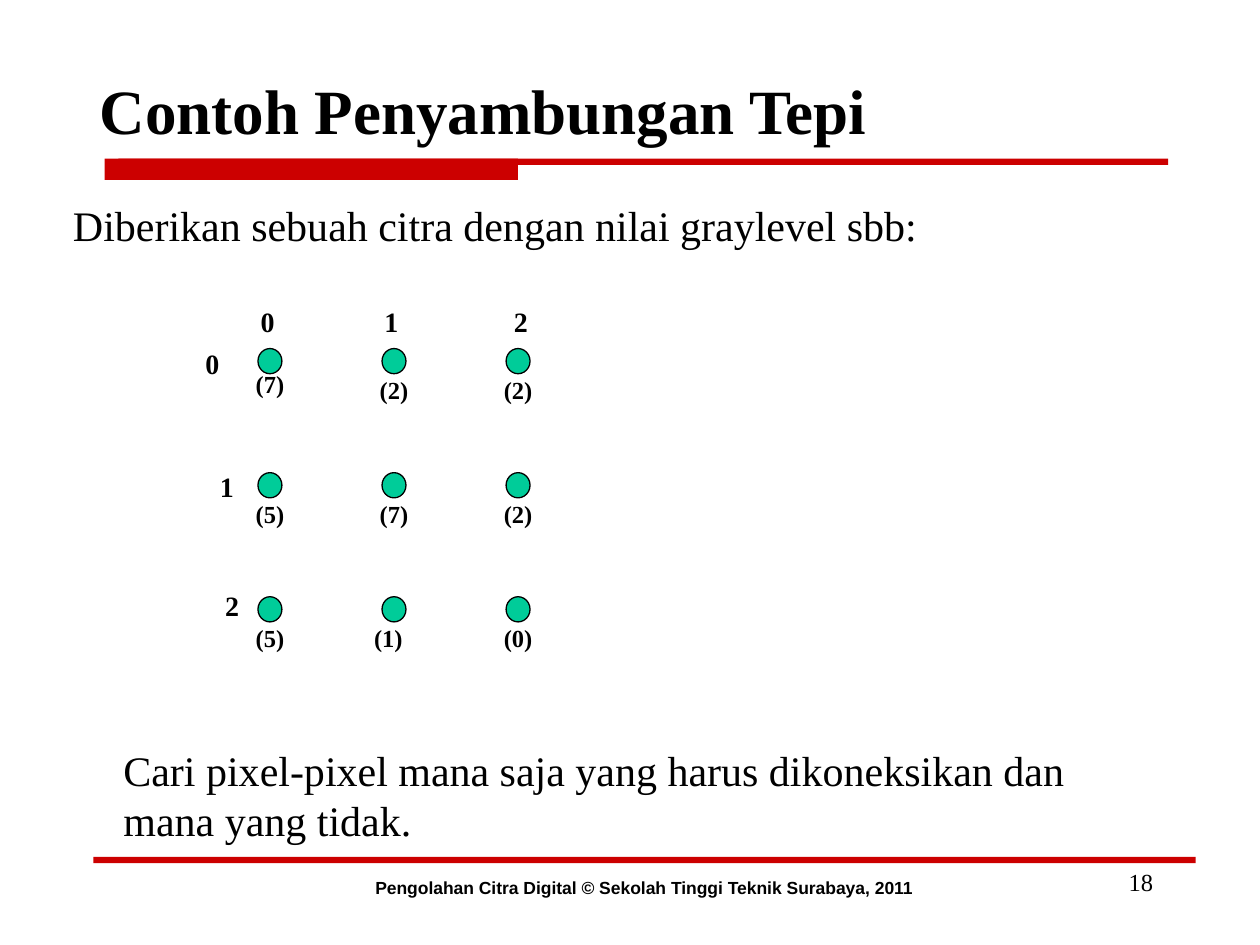
import pptx
import pptx.util
import pptx.dml.color
import pptx.enum.shapes
import pptx.enum.text

Pt = pptx.util.Pt
SHAPES = pptx.enum.shapes.MSO_SHAPE
ALIGN = pptx.enum.text.PP_ALIGN
ANCHOR = pptx.enum.text.MSO_ANCHOR
AUTO_SIZE = pptx.enum.text.MSO_AUTO_SIZE

COLORS = {"ink": "000000", "rule": "CC0000", "pixel": "00CC99"}
SERIF = "Times New Roman"
PITCH = 70.9
GRAYLEVELS = [[7, 2, 2], [5, 7, 2], [5, 1, 0]]
VALUE_SHIFTS = {(0, 0): (0, -3.2), (2, 1): (-3.2, 0)}
COLUMN_LABEL_LEFTS = [141.8, 212.6, 286.5]
ROW_LABEL_PLACES = [(110.2, 194.6), (118.6, 264.6), (121.6, 332.6)]


def color(name):
    return pptx.dml.color.RGBColor.from_string(COLORS[name])


def write(box, text, size, name=SERIF, bold=False, align=ALIGN.LEFT, wrap=True):
    frame = box.text_frame
    frame.word_wrap = wrap
    frame.auto_size = AUTO_SIZE.NONE
    para = frame.paragraphs[0]
    para.text = text
    para.alignment = align
    values = {"name": name, "size": Pt(size), "bold": bold}
    for span in para.runs:
        for key, value in values.items():
            setattr(span.font, key, value)
        span.font.color.rgb = color("ink")


def add_text(parent, place, text, size, **values):
    box = parent.shapes.add_textbox(*map(Pt, place))
    write(box, text, size, **values)


def add_filled(parent, kind, place, fill):
    shape = parent.shapes.add_shape(kind, *map(Pt, place))
    shape.shadow.inherit = False
    shape.fill.solid()
    shape.fill.fore_color.rgb = color(fill)
    return shape


def add_rule(page, place):
    add_filled(page, SHAPES.RECTANGLE, place, "rule").line.fill.background()


def add_pixel(grid, row, column, value):
    x, y = column * PITCH, row * PITCH
    dot = add_filled(grid, SHAPES.OVAL, (147.4 + x, 199.2 + y, 13.7, 14.4), "pixel")
    dot.line.color.rgb = color("ink")
    dot.line.width = Pt(0.75)
    shift_x, shift_y = VALUE_SHIFTS.get((row, column), (0, 0))
    place = (139 + x + shift_x, 210.5 + y + shift_y, 31, 24.3)
    add_text(grid, place, f"({value})", 14, bold=True, wrap=False)


def add_pixel_grid(page):
    grid = page.shapes.add_group_shape()
    for row, values in enumerate(GRAYLEVELS):
        for column, value in enumerate(values):
            add_pixel(grid, row, column, value)
    column_places = [(left, 170.6) for left in COLUMN_LABEL_LEFTS]
    for places in (column_places, ROW_LABEL_PLACES):
        for index, (left, top) in enumerate(places):
            add_text(grid, (left, top, 22.3, 26.6), str(index), 16, bold=True, wrap=False)


def add_title(page, text):
    title = page.shapes.title
    for key, value in {"left": 49.7, "top": 17.3, "width": 612, "height": 90}.items():
        setattr(title, key, Pt(value))
    write(title, text, 36, bold=True)
    title.text_frame.vertical_anchor = ANCHOR.MIDDLE


def main():
    deck = pptx.Presentation()
    deck.slide_width, deck.slide_height = Pt(720), Pt(540)
    page = deck.slides.add_slide(deck.slide_layouts[5])
    add_title(page, "Contoh Penyambungan Tepi")
    for place in [(67.7, 90.7, 599.8, 3.6), (59.8, 90.7, 236.2, 12.2), (53.3, 489.6, 630, 3.6)]:
        add_rule(page, place)
    add_text(page, (516.2, 491.8, 149.8, 36), "18", 14, align=ALIGN.RIGHT)
    add_text(page, (132.5, 497.5, 470.9, 19.4),
             "Pengolahan Citra Digital © Sekolah Tinggi Teknik Surabaya, 2011",
             10, name="Arial", bold=True, align=ALIGN.CENTER)
    add_text(page, (34.6, 110.2, 496.8, 36),
             "Diberikan sebuah citra dengan nilai graylevel sbb:", 24, wrap=False)
    add_pixel_grid(page)
    add_text(page, (63.4, 421.9, 558, 64.8),
             "Cari pixel-pixel mana saja yang harus dikoneksikan dan \nmana yang tidak.",
             24, wrap=False)
    deck.save("out.pptx")


if __name__ == "__main__":
    main()
